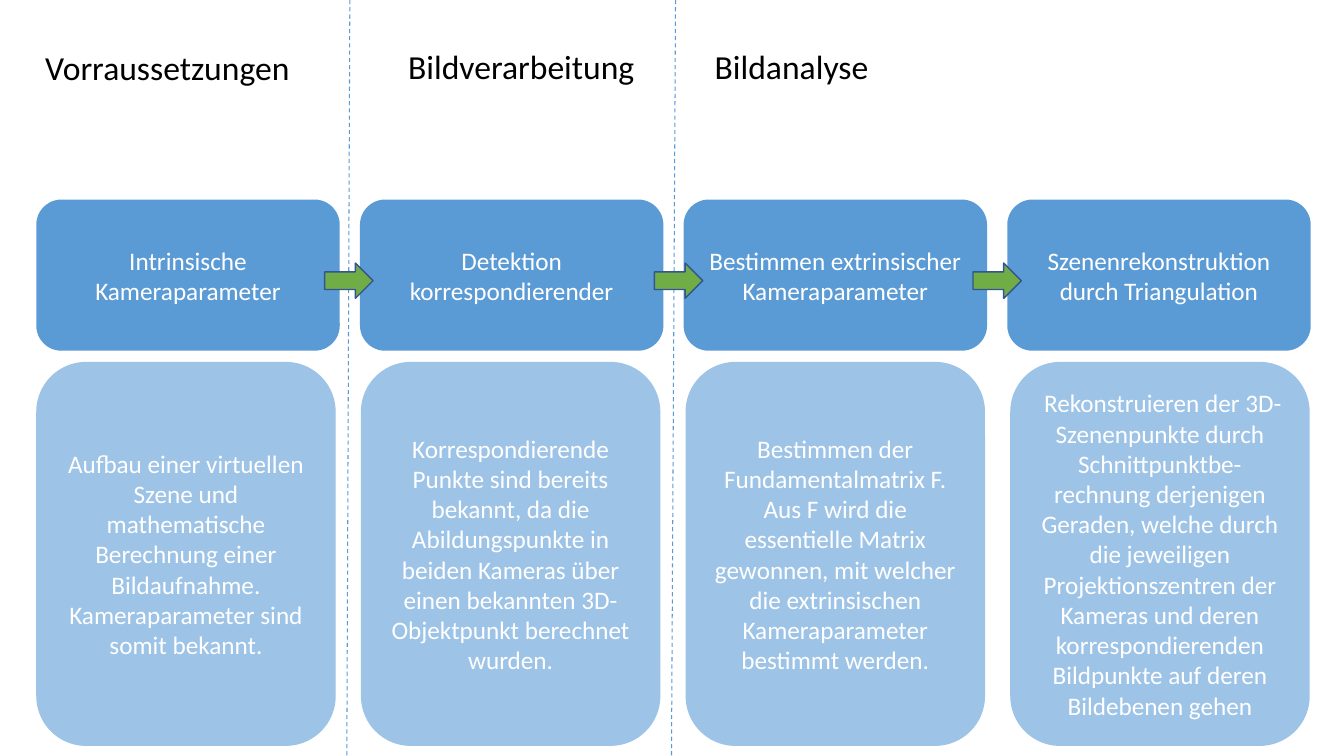
from dataclasses import dataclass

from lxml.etree import SubElement
from pptx import Presentation
from pptx.dml.color import RGBColor
from pptx.enum.dml import MSO_LINE
from pptx.enum.shapes import MSO_CONNECTOR, MSO_SHAPE
from pptx.enum.text import MSO_ANCHOR, PP_ALIGN
from pptx.oxml.ns import qn
from pptx.util import Inches, Pt

# Content: (step, paragraphs of its explanation)
STEPS = [
    ("Intrinsische Kameraparameter",
     ["Aufbau einer virtuellen Szene und mathematische Berechnung einer "
      "Bildaufnahme. Kameraparameter sind somit bekannt."]),
    ("Detektion korrespondierender",
     ["Korrespondierende Punkte sind bereits bekannt, da die",
      "Abildungspunkte in beiden Kameras über einen bekannten "
      "3D-Objektpunkt berechnet wurden."]),
    ("Bestimmen extrinsischer Kameraparameter",
     ["Bestimmen der Fundamentalmatrix F.",
      "Aus F wird die essentielle Matrix gewonnen, mit welcher die "
      "extrinsischen Kameraparameter bestimmt werden."]),
    ("Szenenrekonstruktion durch Triangulation",
     [" Rekonstruieren der 3D-Szenenpunkte durch Schnittpunktbe-rechnung "
      "derjenigen Geraden, welche durch die jeweiligen Projektionszentren "
      "der Kameras und deren korrespondierenden Bildpunkte auf deren "
      "Bildebenen gehen"]),
]
# Phase headings: (text, left, top)
PHASES = [("Vorraussetzungen", 0.35, 0.42),
          ("Bildverarbeitung", 3.95, 0.41),
          ("Bildanalyse", 6.99, 0.41)]
# Slightly slanted dividers: (x at the top, x at the bottom)
DIVIDERS = [(3.47, 3.44), (6.7, 6.66)]
ARROW_LEFTS = [3.22, 6.49, 9.65]


@dataclass(frozen=True)
class Theme:
    font: str = "Calibri"
    heading_size: int = 24
    body_size: int = 18
    step: str = "5B9BD5"
    detail: str = "9DC3E6"
    arrow: str = "70AD47"
    arrow_line: str = "325491"
    light: str = "FFFFFF"
    dark: str = "000000"


# Grid, in inches
THEME = Theme()
SLIDE_WIDTH, SLIDE_HEIGHT = 13.33, 7.5
STEP_LEFT, STEP_PITCH = 0.36, 3.21
DETAIL_LEFT, DETAIL_PITCH = 0.36, 3.22
STEP_TOP, STEP_WIDTH, STEP_HEIGHT = 1.98, 3.01, 1.5
DETAIL_TOP, DETAIL_WIDTH, DETAIL_HEIGHT = 3.59, 2.97, 3.81
ARROW_TOP, ARROW_WIDTH, ARROW_HEIGHT = 2.61, 0.48, 0.35
HEADING_HEIGHT = 0.5


def colour(value):
    return RGBColor.from_string(value)


def write(text_frame, paragraphs, size, text_colour, alignment):
    text_frame.word_wrap = True
    text_frame.text = "\n".join(paragraphs)
    for paragraph in text_frame.paragraphs:
        paragraph.alignment = alignment
        for run in paragraph.runs:
            run.font.name = THEME.font
            run.font.size = Pt(size)
            run.font.color.rgb = colour(text_colour)


def add_block(slide, preset, box, fill):
    shape = slide.shapes.add_shape(preset, *map(Inches, box))
    shape.shadow.inherit = False
    shape.fill.solid()
    shape.fill.fore_color.rgb = colour(fill)
    shape.line.fill.background()
    return shape


def add_card(slide, box, fill, paragraphs):
    card = add_block(slide, MSO_SHAPE.ROUNDED_RECTANGLE, box, fill)
    card.text_frame.vertical_anchor = MSO_ANCHOR.MIDDLE
    write(card.text_frame, paragraphs, THEME.body_size, THEME.light, PP_ALIGN.CENTER)


def add_divider(slide, top_x, bottom_x):
    divider = slide.shapes.add_connector(
        MSO_CONNECTOR.STRAIGHT, Inches(top_x), 0, Inches(bottom_x), Inches(SLIDE_HEIGHT))
    divider.line.color.rgb = colour(THEME.step)
    divider.line.width = Pt(0.75)
    divider.line.dash_style = MSO_LINE.DASH
    SubElement(divider.element.spPr, qn("a:effectLst"))


def add_arrow(slide, left):
    arrow = add_block(slide, MSO_SHAPE.RIGHT_ARROW,
                      (left, ARROW_TOP, ARROW_WIDTH, ARROW_HEIGHT), THEME.arrow)
    arrow.line.color.rgb = colour(THEME.arrow_line)
    arrow.line.width = Pt(1)


def main():
    presentation = Presentation()
    presentation.slide_width = Inches(SLIDE_WIDTH)
    presentation.slide_height = Inches(SLIDE_HEIGHT)
    slide = presentation.slides.add_slide(presentation.slide_layouts[6])

    # Phase headings
    for text, left, top in PHASES:
        heading = slide.shapes.add_textbox(
            *map(Inches, (left, top, STEP_WIDTH, HEADING_HEIGHT)))
        write(heading.text_frame, [text], THEME.heading_size, THEME.dark, PP_ALIGN.LEFT)

    # Steps with their explanations below
    for column, (step, details) in enumerate(STEPS):
        step_left = STEP_LEFT + column * STEP_PITCH
        detail_left = DETAIL_LEFT + column * DETAIL_PITCH
        add_card(slide, (step_left, STEP_TOP, STEP_WIDTH, STEP_HEIGHT), THEME.step, [step])
        add_card(slide, (detail_left, DETAIL_TOP, DETAIL_WIDTH, DETAIL_HEIGHT),
                 THEME.detail, details)

    # Dividers between phases, arrows between steps
    for top_x, bottom_x in DIVIDERS:
        add_divider(slide, top_x, bottom_x)
    for left in ARROW_LEFTS:
        add_arrow(slide, left)

    presentation.save("out.pptx")


if __name__ == "__main__":
    main()
